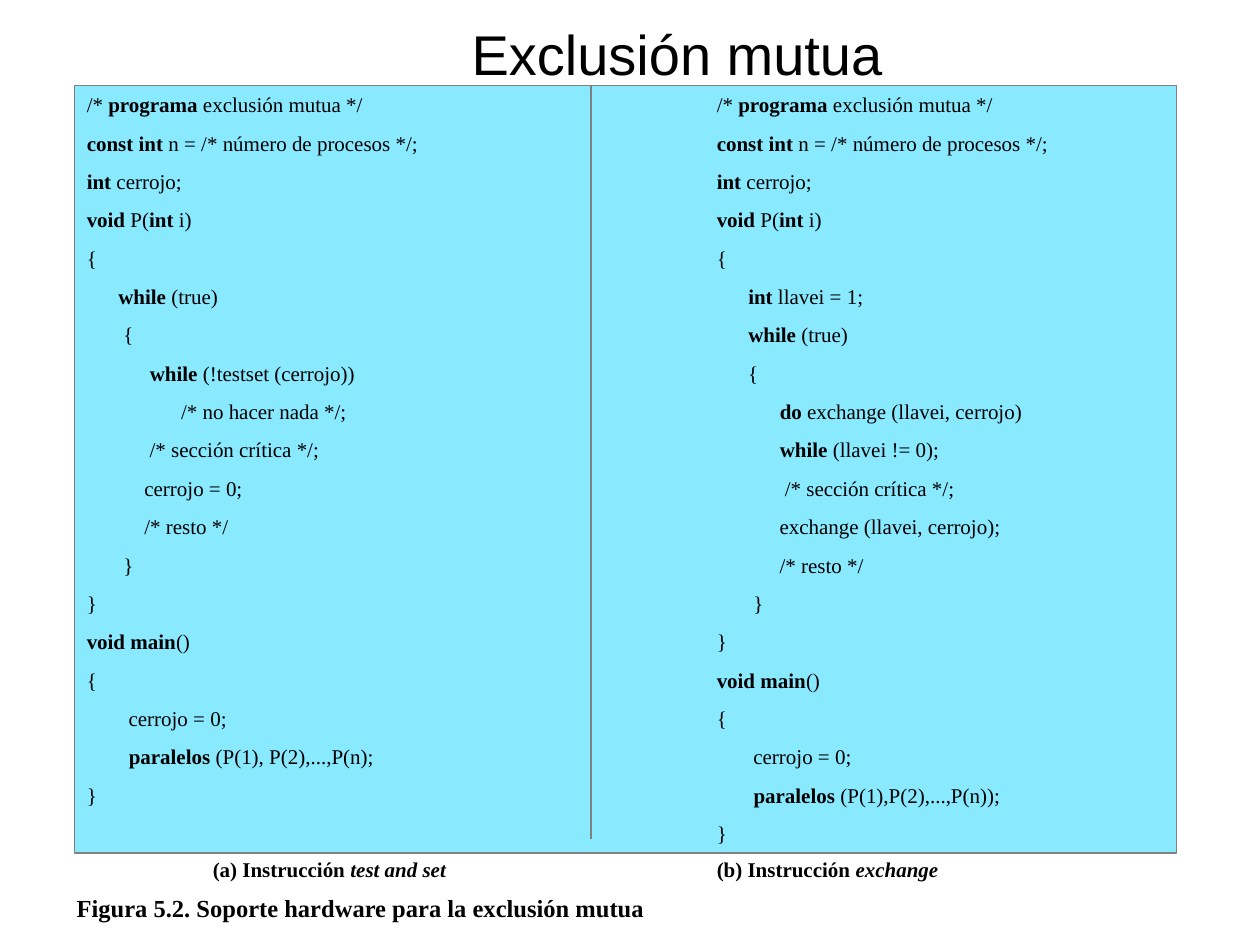
from pptx import Presentation
from pptx.dml.color import RGBColor
from pptx.enum.shapes import MSO_CONNECTOR, MSO_SHAPE
from pptx.enum.text import MSO_ANCHOR, PP_ALIGN
from pptx.oxml.ns import qn
from pptx.util import Inches, Pt

RECT = MSO_SHAPE.RECTANGLE
STRAIGHT = MSO_CONNECTOR.STRAIGHT
TOP, MIDDLE = MSO_ANCHOR.TOP, MSO_ANCHOR.MIDDLE
LEFT, CENTER = PP_ALIGN.LEFT, PP_ALIGN.CENTER

BLACK, GRAY, CYAN = "000000", "808080", "89E9FF"
TITLE = {"name": "Arial", "size": Pt(32)}
CODE = {"name": "Times New Roman", "size": Pt(12)}
CAPTION = {**CODE, "bold": True}
FIGURE = {**CAPTION, "size": Pt(14)}
LINE_GAP = Pt(7.5)
COLUMN_B = 5  # tab stop of the right-hand column

# Left and right program, line by line; ** switches the emphasis
PROGRAMS = [
    ("/* **programa** exclusión mutua */", "/* **programa** exclusión mutua */"),
    ("**const int** n = /* número de procesos */;",
     "**const int** n = /* número de procesos */;"),
    ("**int** cerrojo;", "**int** cerrojo;"),
    ("**void** P(**int** i)", "**void** P(**int** i)"),
    ("{", "{"),
    ("      **while** (true)", "      **int** llavei = 1;"),
    ("       {", "      **while** (true)"),
    ("            **while** (!testset (cerrojo))", "      {"),
    ("                  /* no hacer nada */;",
     "            **do** exchange (llavei, cerrojo)"),
    ("            /* sección crítica */;", "            **while** (llavei != 0);"),
    ("           cerrojo = 0;", "             /* sección crítica */;"),
    ("           /* resto */", "            exchange (llavei, cerrojo);"),
    ("       }", "            /* resto */"),
    ("}", "       }"),
    ("**void main**()", "}"),
    ("{", "**void main**()"),
    ("        cerrojo = 0;", "{"),
    ("        **paralelos** (P(1), P(2),...,P(n);", "       cerrojo = 0;"),
    ("}", "       **paralelos** (P(1),P(2),...,P(n));"),
    ("", "}"),
]


def color(hex_text):
    return RGBColor.from_string(hex_text)


def add_tabs(p, stops):
    p_pr = p._p.get_or_add_pPr()
    tabs = p_pr.makeelement(qn("a:tabLst"), {})
    p_pr.append(tabs)
    for stop in stops:
        tab = tabs.makeelement(qn("a:tab"), {"pos": str(Inches(stop)), "algn": "l"})
        tabs.append(tab)


def add_runs(p, text, font, emphasis):
    for i, part in enumerate(text.split("**")):
        if not part:
            continue
        r = p.add_run()
        r.text = part
        r.font.color.rgb = color(BLACK)
        values = {**font, emphasis: True} if i % 2 else font
        for name, value in values.items():
            setattr(r.font, name, value)


def fill_text(sp, lines, font, emphasis="bold", stops=(), align=LEFT, anchor=TOP):
    tf = sp.text_frame
    tf.word_wrap = True
    tf.vertical_anchor = anchor
    for i, line in enumerate(lines):
        p = tf.paragraphs[0] if i == 0 else tf.add_paragraph()
        p.alignment = align
        if i:
            p.space_before = LINE_GAP
        if stops:
            add_tabs(p, stops)
        add_runs(p, line, font, emphasis)


def add_text(s, box, text, font, **layout):
    sp = s.shapes.add_textbox(*map(Inches, box))
    fill_text(sp, [text], font, **layout)


def add_panel(s, box):
    sp = s.shapes.add_shape(RECT, *map(Inches, box))
    sp.shadow.inherit = False
    sp.fill.solid()
    sp.fill.fore_color.rgb = color(CYAN)
    sp.line.color.rgb = color(GRAY)
    sp.line.width = Pt(0.75)
    return sp


def add_divider(s, x, top, bottom):
    line = s.shapes.add_connector(STRAIGHT, *map(Inches, (x, top, x, bottom)))
    line.line.color.rgb = color(GRAY)
    line.line.width = Pt(0.75)
    sp_pr = line._element.spPr
    sp_pr.append(sp_pr.makeelement(qn("a:effectLst"), {}))


def main():
    prs = Presentation()
    prs.slide_width, prs.slide_height = Inches(10), Inches(7.5)
    s = prs.slides.add_slide(prs.slide_layouts[6])

    # Title
    add_text(s, (1.5, 0.17, 7.75, 0.5), "Exclusión mutua", TITLE,
             align=CENTER, anchor=MIDDLE)

    # Both programs side by side
    panel = add_panel(s, (0.59, 0.68, 8.75, 6.09))
    fill_text(panel, ["\t".join(pair) for pair in PROGRAMS], CODE, stops=[COLUMN_B])
    add_divider(s, 4.69, 0.68, 6.66)

    # Captions
    add_text(s, (0.59, 6.75, 8.75, 0.3),
             "\t(a) Instrucción **test and set**\t(b) Instrucción **exchange**",
             CAPTION, emphasis="italic", stops=[1, COLUMN_B])
    add_text(s, (0.51, 7.04, 8.25, 0.34),
             "Figura 5.2. Soporte hardware para la exclusión mutua", FIGURE)

    prs.save("out.pptx")


if __name__ == "__main__":
    main()
